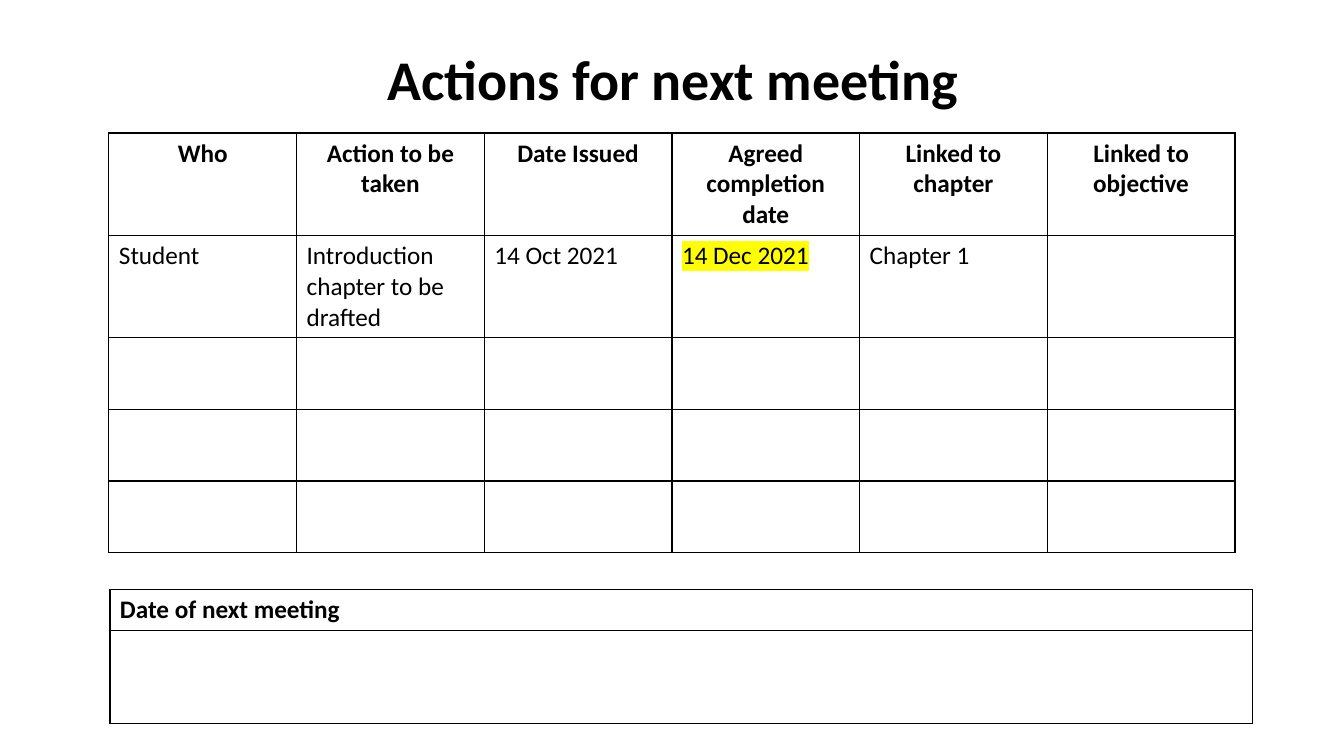
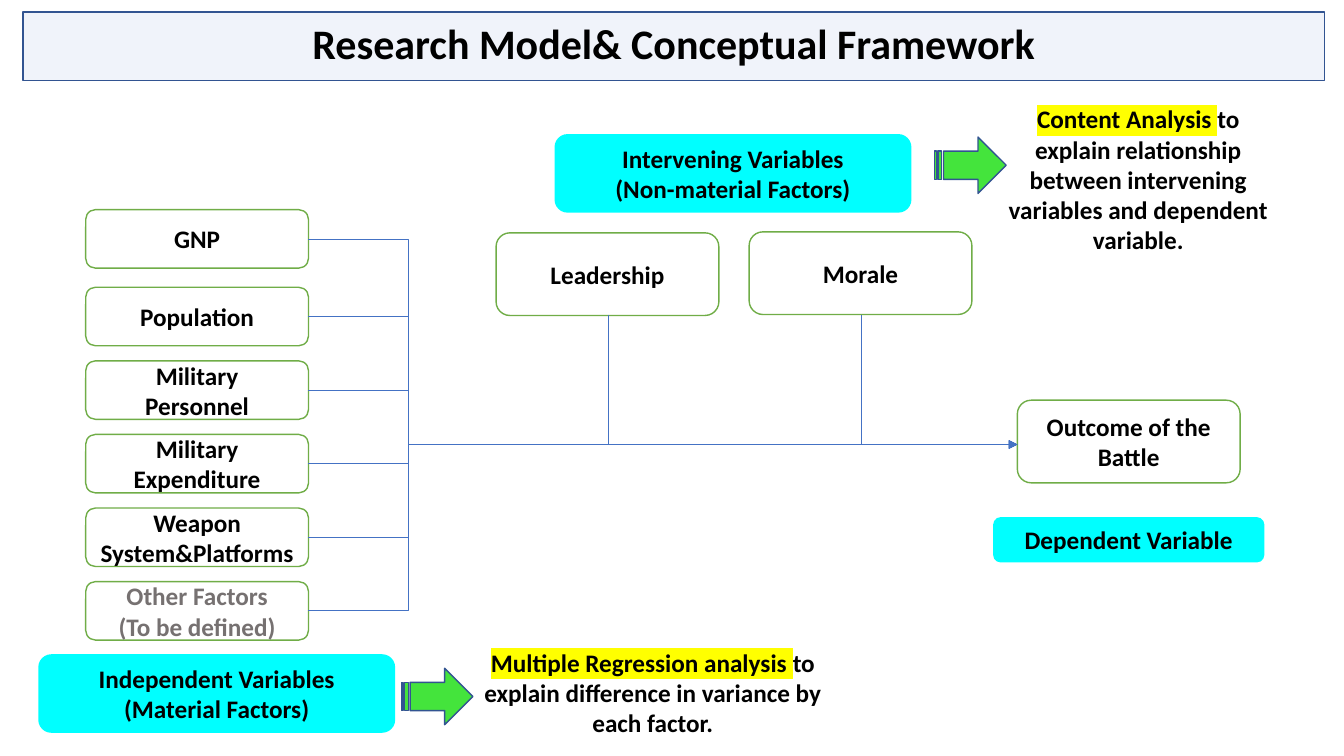
from typing import Any, NamedTuple

from lxml import etree
from pptx import Presentation, util as u
from pptx.dml.color import RGBColor
from pptx.enum import shapes, text
from pptx.oxml import ns

# Shared colours and formats
BLACK, WHITE, GREY = "000000", "FFFFFF", "767171"
GREEN, CYAN, LIME, YELLOW = "70AD47", "00FFFF", "44E43C", "FFFF00"
BLUE, NAVY = "4472C4", "325491"
FONT = {"name": "Calibri", "size": u.Pt(18), "bold": True}
PLAIN = {**FONT, "bold": False}
MID = text.MSO_ANCHOR.MIDDLE
LEFT, CENTER = text.PP_ALIGN.LEFT, text.PP_ALIGN.CENTER
KIND = shapes.MSO_SHAPE


class Area(NamedTuple):
    x: float
    y: float
    w: float
    h: float

    def size(self) -> list:
        return [u.Inches(v) for v in self]


class Box(NamedTuple):
    area: Area
    lines: tuple = ()
    fill: str = WHITE
    line: str = GREEN
    ink: str = BLACK
    kind: Any = KIND.ROUNDED_RECTANGLE


class Note(NamedTuple):
    area: Area
    mark: str
    rest: str


class Link(NamedTuple):
    x: float
    y: float
    turn: float
    end: float
    head: bool = True


# Helpers
def apply(item: Any, vals: dict) -> None:
    for key, val in vals.items():
        setattr(item, key, val)


def node(root: Any, tag: str, **attrs: str) -> Any:
    return etree.SubElement(root, ns.qn(tag), attrs)


def paint(fill: Any, tone: str) -> None:
    fill.solid()
    fill.fore_color.rgb = RGBColor.from_string(tone)


def put(para: Any, words: str, look: dict, ink: str, mark: bool = False) -> None:
    run = para.add_run()
    run.text = words
    apply(run.font, look)
    paint(run.font.fill, ink)
    if mark:
        glow = etree.Element(ns.qn("a:highlight"))
        node(glow, "a:srgbClr", val=YELLOW)
        run.font._element.find(ns.qn("a:solidFill")).addnext(glow)


def write(frame: Any, lines: tuple, look: dict = FONT, ink: str = BLACK,
          align: Any = CENTER, mark: str = "") -> None:
    for i, line in enumerate(lines):
        para = frame.paragraphs[0] if i == 0 else frame.add_paragraph()
        para.alignment = align
        if mark and i == 0:
            put(para, mark, look, ink, True)
        if line:
            put(para, line, look, ink)


def title(page: Any, area: Area, words: str, size: int) -> Any:
    head = page.shapes.title
    apply(head, dict(zip(("left", "top", "width", "height"), area.size())))
    apply(head.text_frame, {"word_wrap": True, "vertical_anchor": MID,
                            "auto_size": text.MSO_AUTO_SIZE.NONE})
    write(head.text_frame, (words,), {**FONT, "size": u.Pt(size)})
    head.text_frame.paragraphs[0].line_spacing = 0.9
    return head


def draw(page: Any, box: Box) -> None:
    shape = page.shapes.add_shape(box.kind, *box.area.size())
    shape.shadow.inherit = False
    paint(shape.fill, box.fill)
    if box.line:
        paint(shape.line.fill, box.line)
        shape.line.width = u.Pt(1)
    else:
        shape.line.fill.background()
    apply(shape.text_frame, {"word_wrap": True, "vertical_anchor": MID})
    write(shape.text_frame, box.lines, ink=box.ink)


def remark(page: Any, note: Note) -> None:
    frame = page.shapes.add_textbox(*note.area.size()).text_frame
    frame.word_wrap = True
    write(frame, (note.rest,), mark=note.mark)


def join(page: Any, link: Link, level: float) -> None:
    ends = [u.Inches(v) for v in (link.x, link.y, link.end, level)]
    line = page.shapes.add_connector(shapes.MSO_CONNECTOR.ELBOW, *ends)
    paint(line.line.fill, BLUE)
    line.line.width = u.Pt(0.5)
    root = line.element.spPr
    part = round((link.turn - link.x) / (link.end - link.x) * 100000)
    stops = root.find(ns.qn("a:prstGeom")).find(ns.qn("a:avLst"))
    node(stops, "a:gd", name="adj1", fmla=f"val {part}")
    if link.head:
        node(root.find(ns.qn("a:ln")), "a:tailEnd", type="triangle")
    node(root, "a:effectLst")


def frame_cell(cell: Any) -> None:
    props = cell._tc.get_or_add_tcPr()
    for side in ("L", "R", "T", "B"):
        edge = node(props, f"a:ln{side}", w=str(u.Pt(1)))
        node(node(edge, "a:solidFill"), "a:srgbClr", val=BLACK)
    cell.fill.background()


def grid(page: Any, area: Area, rows: tuple, cols: int) -> Any:
    table = page.shapes.add_table(len(rows), cols, *area.size()).table
    apply(table, {"first_row": False, "horz_banding": False})
    for col in table.columns:
        col.width = u.Inches(area.w / cols)
    for row, high in zip(table.rows, rows):
        row.height = u.Inches(high)
    for cell in table.iter_cells():
        frame_cell(cell)
    return table


deck = Presentation()
apply(deck, {"slide_width": u.Inches(13.33), "slide_height": u.Inches(7.5)})
bare = deck.slide_layouts[5]

# Slide 1: actions
page = deck.slides.add_slide(bare)
title(page, Area(0.92, 0.4, 11.5, 0.83), "Actions for next meeting", 40)

HEADS = ("Who", "Action to be taken", "Date Issued", "Agreed completion date",
         "Linked to chapter", "Linked to objective")
TASK = ("Student", "Introduction chapter to be drafted", "14 Oct 2021",
        "14 Dec 2021", "Chapter 1")
DUE = 3
tasks = grid(page, Area(1.08, 1.32, 11.17, 4.07),
             (1.01, 1.01, 0.71, 0.71, 0.71), len(HEADS))
for i, words in enumerate(HEADS):
    write(tasks.cell(0, i).text_frame, (words,))
for i, words in enumerate(TASK):
    mark, rest = (words, "") if i == DUE else ("", words)
    write(tasks.cell(1, i).text_frame, (rest,), PLAIN, align=LEFT, mark=mark)

dates = grid(page, Area(1.09, 5.85, 11.33, 1.32), (0.4, 0.92), 1)
write(dates.cell(0, 0).text_frame, ("Date of next meeting",), align=LEFT)

# Slide 2: research model
page = deck.slides.add_slide(bare)
band = title(page, Area(0.23, 0.12, 12.91, 0.68),
             "Research Model& Conceptual Framework", 30)
node(node(band.element.spPr, "a:prstGeom", prst="roundRect"), "a:avLst")
paint(band.fill, BLUE)
tone = band.element.spPr.find(ns.qn("a:solidFill"))[0]
node(tone, "a:alpha", val="8000")
paint(band.line.fill, NAVY)
band.line.width = u.Pt(1)

# Factors, with links to the outcome
FACTORS = (("GNP",), ("Population",), ("Military", "Personnel"),
           ("Military Expenditure",), ("Weapon System&Platforms",),
           ("Other Factors", "(To be defined)"))
LEVEL, BUS, GOAL = 4.41, 4.05, 10.09
TOP, STEP, HIGH = 2.12, 0.73, 0.58
boxes, links = [], []
for i, lines in enumerate(FACTORS):
    y = TOP + i * STEP if i else 2.08
    ink = GREY if i == len(FACTORS) - 1 else BLACK
    boxes.append(Box(Area(0.85, y, 2.21, HIGH), lines, ink=ink))
    links.append(Link(3.06, y + HIGH / 2, BUS, GOAL))
links += [Link(6.03, 3.13, 6.03, 9.7, False), Link(8.54, 3.13, 8.54, GOAL)]

# Other variables, group labels and arrows
for x, y, words in ((4.92, 2.31, "Leadership"), (7.43, 2.3, "Morale"),
                    (GOAL, 3.97, "Outcome of the Battle")):
    boxes.append(Box(Area(x, y, 2.21, 0.82), (words,)))
for area, lines in (
        (Area(5.5, 1.33, 3.54, 0.78),
         ("Intervening Variables", "(Non-material Factors)")),
        (Area(0.38, 6.49, 3.54, 0.78),
         ("Independent Variables", "(Material Factors)")),
        (Area(9.85, 5.13, 2.69, 0.45), ("Dependent Variable",))):
    boxes.append(Box(area, lines, CYAN, ""))
for x, y in ((9.27, 1.36), (3.98, 6.63)):
    boxes.append(Box(Area(x, y, 0.71, 0.56), (), LIME, NAVY,
                     kind=KIND.STRIPED_RIGHT_ARROW))

NOTES = (
    Note(Area(9.86, 0.98, 2.86, 1.62), "Content Analysis ",
         "to explain relationship between intervening variables "
         "and dependent variable."),
    Note(Area(4.45, 6.37, 4.05, 1.01), "Multiple Regression analysis ",
         "to explain difference in variance by each factor."),
)
for box in boxes:
    draw(page, box)
for link in links:
    join(page, link, LEVEL)
for note in NOTES:
    remark(page, note)

deck.save("out.pptx")
